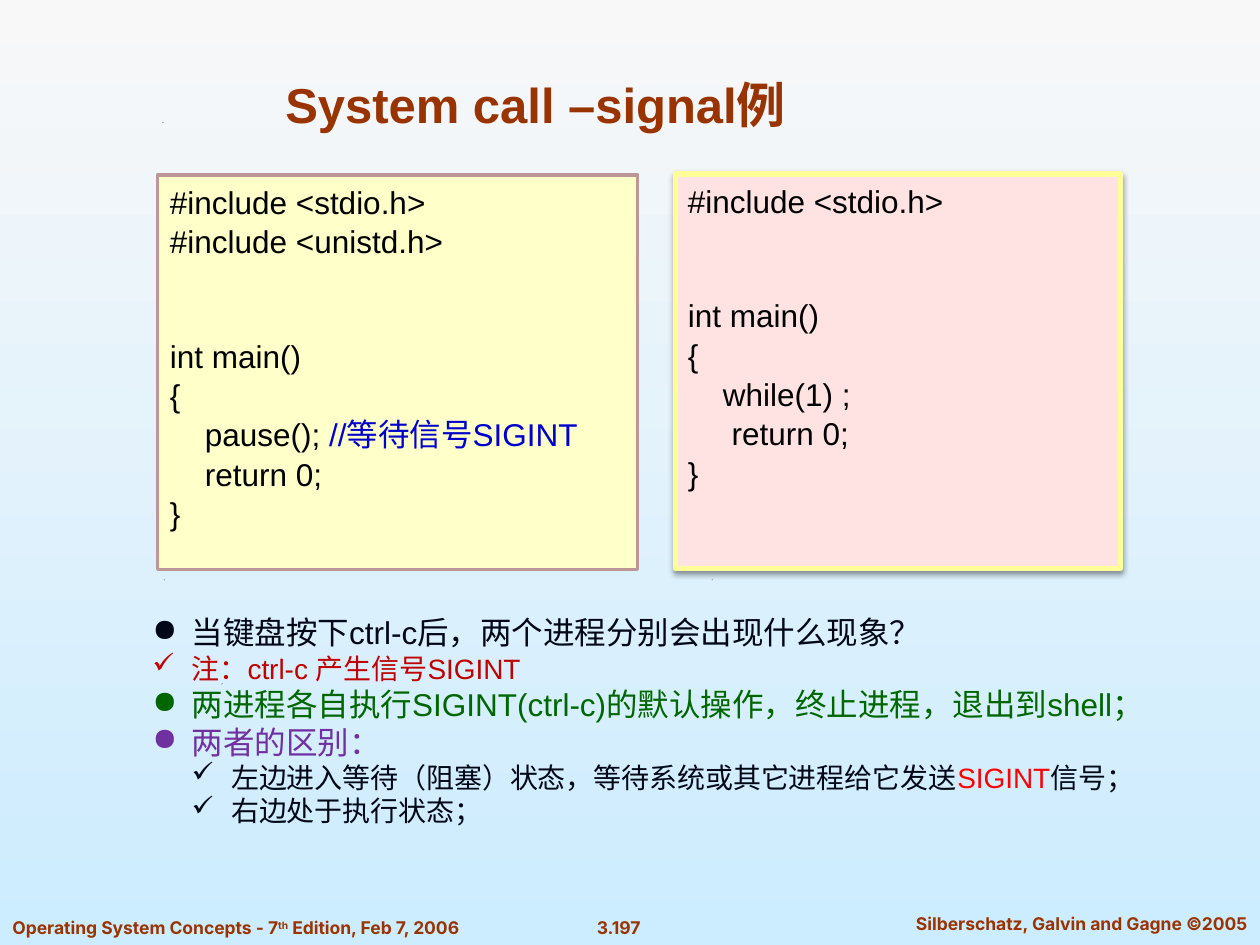
import pptx
import pptx.dml.color
import pptx.enum.shapes
import pptx.enum.text
import pptx.oxml
import pptx.oxml.ns
import pptx.util

Pt = pptx.util.Pt
RGBColor = pptx.dml.color.RGBColor
ALIGN = pptx.enum.text.PP_ALIGN
ANCHOR = pptx.enum.text.MSO_ANCHOR
RECTANGLE = pptx.enum.shapes.MSO_SHAPE.RECTANGLE

BLACK = RGBColor(0, 0, 0)
BROWN = RGBColor(0x99, 0x33, 0x00)
NAVY = RGBColor(0x00, 0x08, 0x18)
BLUE = RGBColor(0x00, 0x00, 0xCC)
GREEN = RGBColor(0x00, 0x66, 0x00)
PURPLE = RGBColor(0x70, 0x30, 0xA0)
DARK_RED = RGBColor(0xC0, 0x00, 0x00)
RED = RGBColor(0xFF, 0x00, 0x00)
CREAM = RGBColor(0xFF, 0xFF, 0xCA)
ROSE = RGBColor(0xBD, 0x97, 0x97)
PINK = RGBColor(0xFF, 0xE2, 0xE2)
YELLOW = RGBColor(0xFF, 0xFF, 0x99)
SKY_TOP = RGBColor(0xF8, 0xF8, 0xF8)
SKY_BOTTOM = RGBColor(0xCC, 0xEC, 0xFF)

BULLET_STEP = 22.5
BLANK_LINES = 43.2  # two lines of code
SHADOW = ('<a:effectLst %s><a:outerShdw blurRad="39370" dist="20320" dir="5400000" rotWithShape="0">'
          '<a:srgbClr val="000000"><a:alpha val="38000"/></a:srgbClr></a:outerShdw></a:effectLst>'
          % pptx.oxml.ns.nsdecls("a"))


def set_values(target, values):
    for name, value in values.items():
        setattr(target, name, value)


def add_run(paragraph, text, size, color, font="Arial", bold=False):
    run = paragraph.add_run()
    run.text = text
    set_values(run.font, {"name": font, "size": Pt(size), "bold": bold})
    run.font.color.rgb = color
    properties = run._r.get_or_add_rPr()
    east_asian = pptx.oxml.parse_xml('<a:ea %s typeface="%s"/>' % (pptx.oxml.ns.nsdecls("a"), font))
    properties.find(pptx.oxml.ns.qn("a:latin")).addnext(east_asian)
    return run


def set_indent(paragraph, left, hanging=0, bullet=None):
    properties = paragraph._p.get_or_add_pPr()
    properties.set("marL", str(Pt(left)))
    properties.set("indent", str(-Pt(hanging)))
    if bullet:
        mark = pptx.oxml.parse_xml('<a:buChar %s char="%s"/>' % (pptx.oxml.ns.nsdecls("a"), bullet))
        properties.append(mark)


def add_text_box(slide, box, anchor=ANCHOR.TOP):
    frame = slide.shapes.add_textbox(*map(Pt, box)).text_frame
    set_values(frame, {"word_wrap": True, "vertical_anchor": anchor})
    return frame


def next_paragraph(frame, index):
    return frame.add_paragraph() if index else frame.paragraphs[0]


def paint_background(slide):
    fill = slide.background.fill
    fill.gradient()
    fill.gradient_angle = 270
    for stop, position, color in zip(fill.gradient_stops, (0, 1), (SKY_TOP, SKY_BOTTOM)):
        stop.position = position
        stop.color.rgb = color


def add_specks(slide, corners):
    for left, top in corners:
        builder = slide.shapes.build_freeform(Pt(left), Pt(top))
        builder.add_line_segments([(Pt(left + 0.6), Pt(top)), (Pt(left), Pt(top + 0.5))])
        speck = builder.convert_to_shape()
        speck.shadow.inherit = False
        speck.fill.solid()
        speck.fill.fore_color.rgb = BLACK
        speck.line.fill.background()


def add_title(slide, box, text):
    paragraph = add_text_box(slide, box, ANCHOR.BOTTOM).paragraphs[0]
    paragraph.alignment = ALIGN.CENTER
    add_run(paragraph, text, 28, BROWN, bold=True)


def add_code_panel(slide, box, fill, border, border_width, lines, shadow=False):
    """Each line is (indent, space before, runs of text and colour)."""
    panel = slide.shapes.add_shape(RECTANGLE, *map(Pt, box))
    panel.shadow.inherit = False
    panel.fill.solid()
    panel.fill.fore_color.rgb = fill
    panel.line.color.rgb = border
    panel.line.width = Pt(border_width)
    if shadow:
        properties = panel._element.spPr
        properties.replace(properties.find(pptx.oxml.ns.qn("a:effectLst")), pptx.oxml.parse_xml(SHADOW))
    frame = panel.text_frame
    set_values(frame, {"word_wrap": True, "vertical_anchor": ANCHOR.TOP})
    for index, (indent, gap, runs) in enumerate(lines):
        paragraph = next_paragraph(frame, index)
        set_values(paragraph, {"alignment": ALIGN.LEFT, "space_before": Pt(gap), "line_spacing": 1.04})
        set_indent(paragraph, indent)
        for text, color in runs:
            add_run(paragraph, text, 18, color)


def add_notes_list(slide, box, items):
    """Each item is (level, bullet, size, runs of text and colour)."""
    frame = add_text_box(slide, box)
    for index, (level, bullet, size, runs) in enumerate(items):
        paragraph = next_paragraph(frame, index)
        set_indent(paragraph, BULLET_STEP * level, BULLET_STEP, bullet)
        for text, color in runs:
            add_run(paragraph, text, size, color)


def add_footer(slide, box, parts, alignment):
    """Each part is (text, baseline shift in thousandths of a percent)."""
    paragraph = add_text_box(slide, box).paragraphs[0]
    paragraph.alignment = alignment
    for text, baseline in parts:
        run = add_run(paragraph, text, 10, BROWN, "Inter", True)
        if baseline:
            run._r.get_or_add_rPr().set("baseline", str(baseline))


def build_slide(presentation):
    slide = presentation.slides.add_slide(presentation.slide_layouts[6])
    paint_background(slide)
    add_specks(slide, [(126.7, 390.6), (93.6, 331.2), (406.8, 331.2), (92.9, 69.8)])

    # Footer
    add_footer(slide, (0, 520.6, 294.5, 19.4),
               [("Operating System Concepts - 7", 0), ("th", 30000), (" Edition, Feb 7, 2006", 0)],
               ALIGN.LEFT)
    add_footer(slide, (330.5, 520.6, 46, 19.4), [("3.197", 0)], ALIGN.CENTER)
    add_footer(slide, (511.2, 518.4, 213.8, 19.4),
               [("Silberschatz, Galvin and Gagne ©2005", 0)], ALIGN.CENTER)

    # Title and the two programs
    add_title(slide, (80, 38.9, 452, 41), "System call –signal例")
    stdio = (0, 0, [("#include <stdio.h>", BLACK)])
    main = [(0, BLANK_LINES, [("int main()", BLACK)]), (0, 0, [("{", BLACK)])]
    end = (0, 0, [("}", BLACK)])
    add_code_panel(slide, (90, 100, 274.3, 225.4), CREAM, ROSE, 2, [
        stdio, (0, 0, [("#include <unistd.h>", BLACK)]), *main,
        (20, 0, [("pause(); ", BLACK), ("//等待信号SIGINT", BLUE)]),
        (20, 0, [("return 0;", BLACK)]), end])
    add_code_panel(slide, (386, 99.4, 254.2, 225.4), PINK, YELLOW, 3, [
        stdio, *main, (20, 0, [("while(1) ;", BLACK)]),
        (25, 0, [("return 0;", BLACK)]), end], shadow=True)

    # Questions and answers
    add_notes_list(slide, (80, 347, 612, 131), [
        (1, "●", 18, [("当键盘按下ctrl-c后，两个进程分别会出现什么现象？", NAVY)]),
        (1, "✓", 16, [("注：ctrl-c 产生信号SIGINT", DARK_RED)]),
        (1, "●", 18, [("两进程各自执行SIGINT(ctrl-c)的默认操作，终止进程，退出到shell；", GREEN)]),
        (1, "●", 18, [("两者的区别：", PURPLE)]),
        (2, "✓", 16, [("左边进入等待（阻塞）状态，等待系统或其它进程给它发送", NAVY),
                      ("SIGINT", RED), ("信号；", NAVY)]),
        (2, "✓", 16, [("右边处于执行状态；", NAVY)])])


presentation = pptx.Presentation()
set_values(presentation, {"slide_width": Pt(720), "slide_height": Pt(540)})
build_slide(presentation)
presentation.save("out.pptx")
